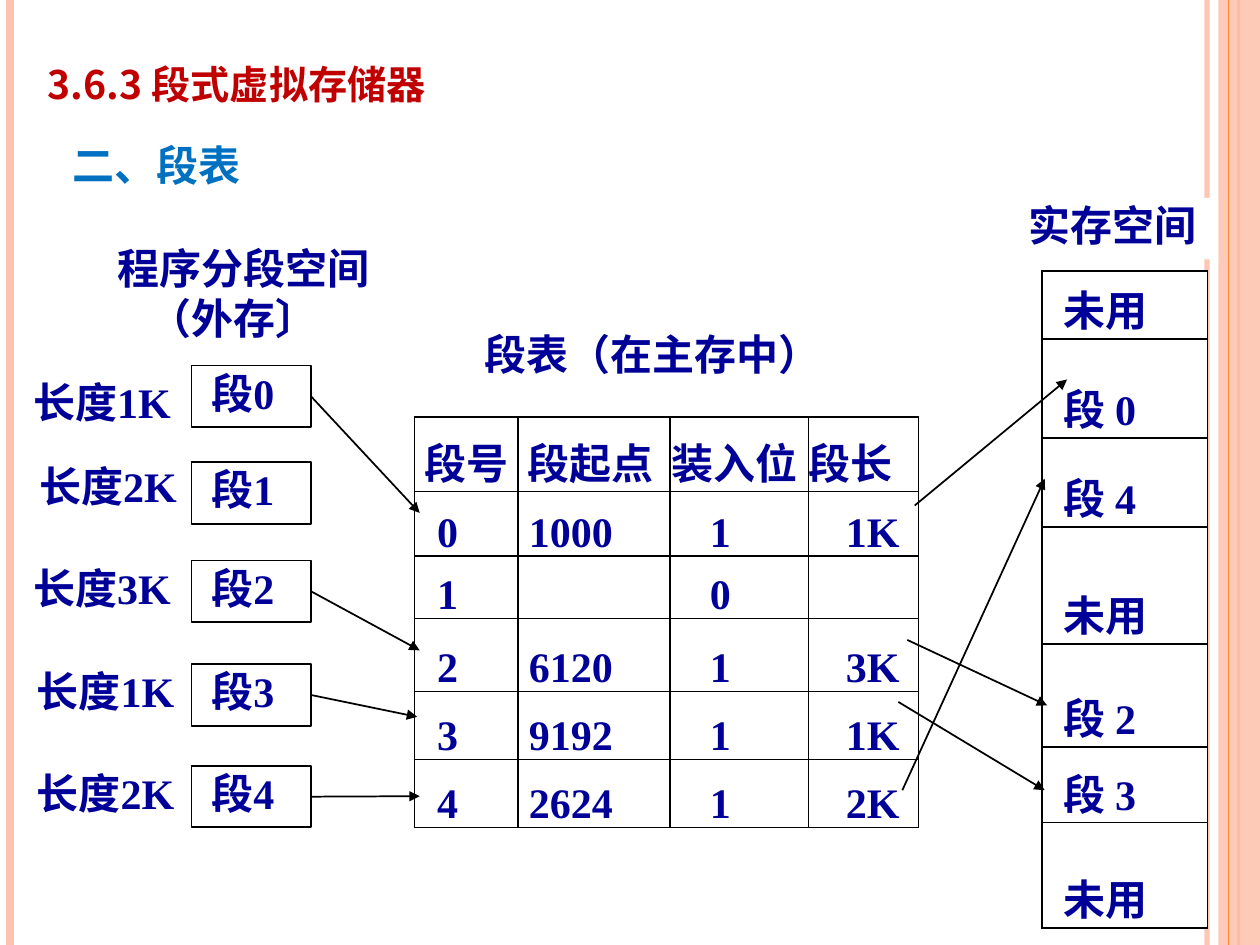
from dataclasses import dataclass

from lxml import etree
from pptx import Presentation
from pptx.dml.color import RGBColor
from pptx.enum.shapes import MSO_CONNECTOR, MSO_SHAPE
from pptx.enum.text import MSO_ANCHOR
from pptx.oxml.ns import qn
from pptx.util import Cm, Pt

LINE = MSO_CONNECTOR.STRAIGHT
RECT = MSO_SHAPE.RECTANGLE
TOP, BOTTOM = MSO_ANCHOR.TOP, MSO_ANCHOR.BOTTOM
RIGHT_SIDE = 3


@dataclass(frozen=True)
class Theme:
    ink: str = "000099"
    title: str = "C00000"
    head: str = "0070C0"
    edge: str = "000000"
    paper: str = "FFFFFF"
    peach: str = "FEC3AE"
    orange: str = "FE8637"
    latin: str = "Times New Roman"
    asian: str = "Noto Sans CJK SC"
    big: float = 28
    body: float = 24
    thin: float = 1


def fade(fill, percent):
    """Make a solid fill element partly transparent."""
    color = fill.find(".//" + qn("a:srgbClr"))
    etree.SubElement(color, qn("a:alpha"), val=str(percent * 1000))


class Board:
    def __init__(self, slide, theme):
        self.slide = slide
        self.theme = theme

    def run(self, para, text, color=None, font=None, size=None):
        theme = self.theme
        run = para.add_run()
        run.text = text
        run.font.name = font or theme.latin
        run.font.size = Pt(size or theme.body)
        run.font.bold = True
        run.font.color.rgb = RGBColor.from_string(color or theme.ink)
        props = run.font._element
        asian = etree.Element(qn("a:ea"), typeface=theme.asian)
        props.find(qn("a:latin")).addnext(asian)
        return run

    def fit(self, frame, left, top, anchor):
        frame.word_wrap = True
        frame.margin_left = frame.margin_right = Cm(left)
        frame.margin_top = frame.margin_bottom = Cm(top)
        frame.vertical_anchor = anchor

    def head(self, area, text, color, size, anchor=TOP):
        box = self.slide.shapes.add_textbox(*map(Cm, area))
        self.fit(box.text_frame, 0.25, 0.13, anchor)
        para = box.text_frame.paragraphs[0]
        return self.run(para, text, color, self.theme.asian, size)

    def label(self, area, *lines, inset=0.03):
        """Place white-backed text; each line is (text, indent)."""
        box = self.slide.shapes.add_textbox(*map(Cm, area))
        box.fill.solid()
        box.fill.fore_color.rgb = RGBColor.from_string(self.theme.paper)
        frame = box.text_frame
        self.fit(frame, inset, 0.03, TOP)
        for i, (text, indent) in enumerate(lines):
            para = frame.add_paragraph() if i else frame.paragraphs[0]
            if indent:
                para._p.get_or_add_pPr().set("marL", str(Cm(indent)))
            self.run(para, text)
        return box

    def box(self, area, text):
        box = self.label(area, (text, 0), inset=0.4)
        box.line.color.rgb = RGBColor.from_string(self.theme.edge)
        box.line.width = Pt(self.theme.thin)
        return box

    def band(self, area, color, percent):
        band = self.slide.shapes.add_shape(RECT, *map(Cm, area))
        band.shadow.inherit = False
        band.fill.solid()
        band.fill.fore_color.rgb = RGBColor.from_string(color)
        band.line.fill.background()
        fade(band._element.spPr.find(qn("a:solidFill")), percent)

    def line(self, start, end, color=None, width=None):
        link = self.slide.shapes.add_connector(LINE, *map(Cm, start + end))
        link.line.color.rgb = RGBColor.from_string(color or self.theme.edge)
        link.line.width = Pt(width or self.theme.thin)
        etree.SubElement(link._element.spPr, qn("a:effectLst"))
        return link

    def arrow(self, start, end):
        link = self.line(start, end)
        etree.SubElement(link.line._get_or_add_ln(), qn("a:tailEnd"),
                         type="triangle")
        return link

    def cell(self, cell, text, inset):
        props = cell._tc.get_or_add_tcPr()
        for side in ("lnL", "lnR", "lnT", "lnB"):
            edge = etree.SubElement(props, qn("a:" + side),
                                    w=str(Pt(self.theme.thin)))
            fill = etree.SubElement(edge, qn("a:solidFill"))
            etree.SubElement(fill, qn("a:srgbClr"), val=self.theme.edge)
        cell.fill.solid()
        cell.fill.fore_color.rgb = RGBColor.from_string(self.theme.paper)
        cell.margin_left = Cm(inset)
        cell.margin_right = cell.margin_top = cell.margin_bottom = 0
        cell.vertical_anchor = BOTTOM
        para = cell.text_frame.paragraphs[0]
        if text:
            self.run(para, text)
        else:
            para.font.size = Pt(self.theme.body)

    def table(self, spot, widths, heights, rows, insets):
        """Draw a ruled table; insets holds the left margins of each row."""
        size = (sum(widths), sum(heights))
        grid = self.slide.shapes.add_table(
            len(rows), len(widths), *map(Cm, spot + size)).table
        grid.first_row = grid.horz_banding = False
        for column, width in zip(grid.columns, widths):
            column.width = Cm(width)
        for r, (height, texts) in enumerate(zip(heights, rows)):
            grid.rows[r].height = Cm(height)
            for c, text in enumerate(texts):
                self.cell(grid.cell(r, c), text, insets[r][c])


def main():
    deck = Presentation()
    deck.slide_width, deck.slide_height = Cm(25.4), Cm(19.05)
    theme = Theme()
    board = Board(deck.slides.add_slide(deck.slide_layouts[6]), theme)

    def stripe(x, color, width):
        return board.line((x, 0), (x, 19.05), color, width)

    inner = stripe(24.33, theme.peach, 3)
    fade(inner.line._get_or_add_ln().find(qn("a:solidFill")), 93)
    stripe(0.2, theme.peach, 4.5)
    stripe(24.97, theme.orange, 1.5)
    board.band((24.56, 0, 0.84, 19.05), theme.peach, 87)
    stripe(24.77, theme.orange, 0.75)

    title = board.head((0.71, 0.33, 21.06, 2.01), "3.6.3 段式虚拟存储器",
                       theme.title, theme.big, BOTTOM)
    title.font._element.set("cap", "small")
    board.head((1.22, 2.69, 4.2, 1.27), "二、段表", theme.head, theme.body)

    board.label((2.34, 4.85, 5.84, 2.08), ("程序分段空间", 0), ("（外存〕", 0.64))
    board.label((9.73, 6.6, 7.37, 1.47), ("段表（在主存中）", 0))
    board.label((20.5, 3.99, 4.06, 1.24), ("实存空间", 0.21))

    board.table((8.36, 8.41), (2.08, 3.07, 2.79, 2.22),
                (1.5, 1.3, 1.26, 1.47, 1.37, 1.37),
                [("段号", "段起点", "装入位", "段长"),
                 ("0", "1000", "1", "1K"),
                 ("1", "", "0", ""),
                 ("2", "6120", "1", "3K"),
                 ("3", "9192", "1", "1K"),
                 ("4", "2624", "1", "2K")],
                [(0.2, 0.2, 0.03, 0)] + [(0.45, 0.22, 0.8, 0.75)] * 5)

    names = ("未用", "段 0", "段 4", "未用", "段 2", "段 3", "未用")
    board.table((21.01, 5.46), (3.33,),
                (1.37, 2, 1.79, 2.36, 2.08, 1.52, 2.13),
                [(name,) for name in names], [(0.43,)] * len(names))

    # Length, label left, label top, box top, arrow end
    parts = [("1K", 0.64, 7.57, 7.37, (8.46, 10.34)),
             ("2K", 0.76, 9.25, 9.32, None),
             ("3K", 0.64, 11.3, 11.3, (8.46, 13.11)),
             ("1K", 0.71, 13.39, 13.39, (8.41, 14.45)),
             ("2K", 0.71, 15.44, 15.44, (8.46, 16.05))]
    for i, (length, left, top, box_top, end) in enumerate(parts):
        board.label((left, top, 3.15, 1.24), ("长度" + length, 0))
        box = board.box((3.86, box_top, 2.41, 1.24), f"段{i}")
        if end:
            link = board.arrow((6.27, box_top + 0.62), end)
            link.begin_connect(box, RIGHT_SIDE)

    for start, end in [((18.44, 10.19), (21.51, 7.65)),
                       ((18.29, 12.9), (21.11, 14.22)),
                       ((18.11, 14.15), (21.06, 15.93)),
                       ((18.19, 15.93), (21.06, 9.65))]:
        board.arrow(start, end)

    deck.save("out.pptx")


if __name__ == "__main__":
    main()
